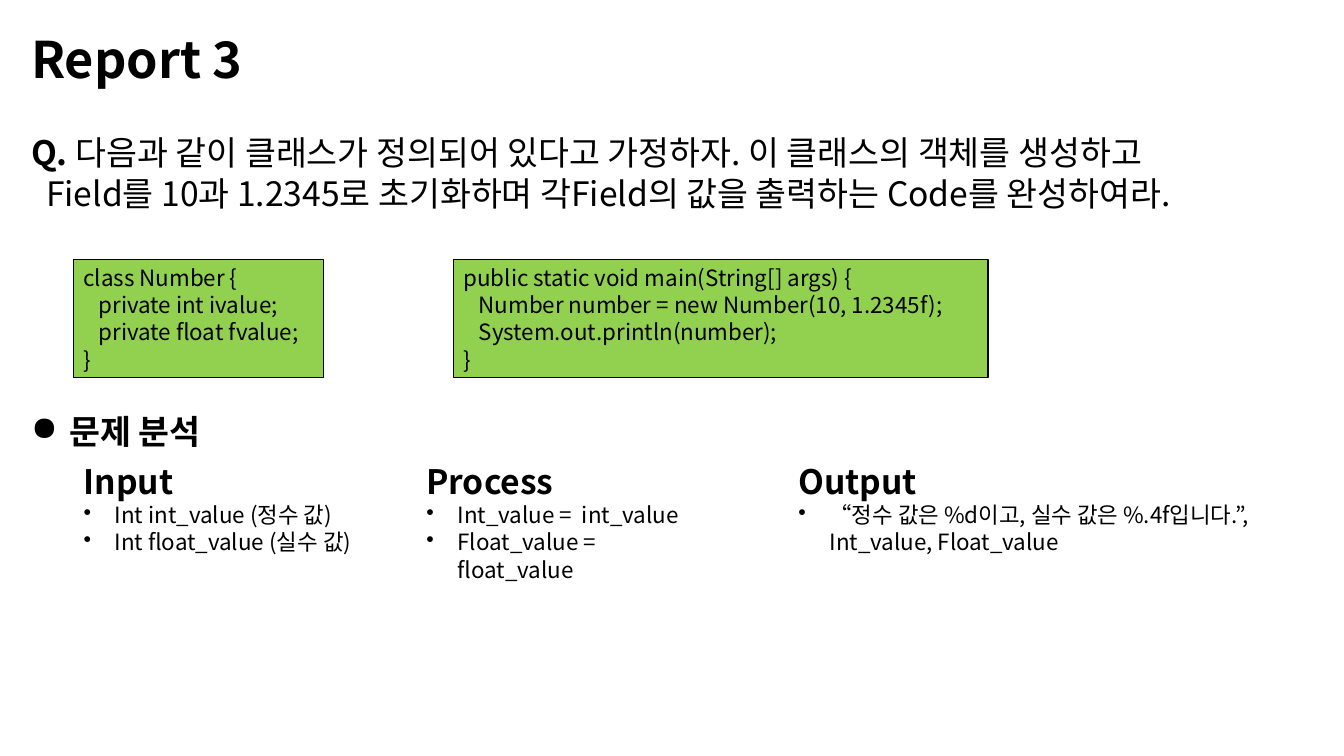
import pptx
import pptx.util
import pptx.dml.color
import pptx.enum.shapes
import pptx.enum.text
import pptx.oxml.ns
import lxml.etree

Inches = pptx.util.Inches
Pt = pptx.util.Pt
RGB = pptx.dml.color.RGBColor.from_string
FONT = "Noto Sans CJK KR"
COLORS = {"ink": "000000", "code": "92D050"}

deck = pptx.Presentation()
deck.slide_width = Inches(13.33)
deck.slide_height = Inches(7.5)
slide = deck.slides.add_slide(deck.slide_layouts[6])


def write(para, text, size, bold=False):
    run = para.add_run()
    run.text = text
    style = {"size": Pt(size), "bold": bold, "name": FONT}
    for key, value in style.items():
        setattr(run.font, key, value)
    run.font.color.rgb = RGB(COLORS["ink"])
    east = lxml.etree.SubElement(run.font._element, pptx.oxml.ns.qn("a:ea"))
    east.set("typeface", FONT)


def fill(shape, lines):
    frame = shape.text_frame
    frame.word_wrap = True
    frame.vertical_anchor = pptx.enum.text.MSO_ANCHOR.TOP
    for row, (runs, left, mark) in enumerate(lines):
        para = frame.paragraphs[0] if row == 0 else frame.add_paragraph()
        para.alignment = pptx.enum.text.PP_ALIGN.LEFT
        para.line_spacing = Pt(round(runs[0][1] * 1.21, 1))
        props = para._p.get_or_add_pPr()
        props.set("marL", str(Inches(left)))
        if mark:
            props.set("indent", str(-Inches(left)))
            bullet = lxml.etree.SubElement(props, pptx.oxml.ns.qn("a:buChar"))
            bullet.set("char", mark)
        for run in runs:
            write(para, *run)


ask = [
    ([("Q. ", 24, True), ("다음과 같이 클래스가 정의되어 있다고 가정하자. 이 클래스의 객체를 생성하고", 24)], 0, None),
    ([("Field를 10과 1.2345로 초기화하며 각Field의 값을 출력하는 Code를 완성하여라.", 24)], 0.15, None),
]
texts = [
    (0.21, 0.22, 4.28, 0.71, [([("Report 3", 36, True)], 0, None)]),
    (0.21, 1.26, 13.43, 1.31, ask),
    (0.21, 4.02, 2.15, 0.5, [([("문제 분석", 24, True)], 0.38, "●")]),
]
parts = [
    (0.73, 2.92, "Input", ["Int int_value (정수 값)", "Int float_value (실수 값)"]),
    (4.13, 3.01, "Process", ["Int_value =  int_value", "Float_value = float_value"]),
    (7.82, 5.3, "Output", ["“정수 값은 %d이고, 실수 값은 %.4f입니다.”, Int_value, Float_value"]),
]
for left, width, head, items in parts:
    lines = [([(head, 24, True)], 0, None)]
    lines += [([(item, 16)], 0.31, "•") for item in items]
    texts.append((left, 4.52, width, 1.04, lines))

for left, top, width, height, lines in texts:
    box = slide.shapes.add_textbox(Inches(left), Inches(top), Inches(width), Inches(height))
    fill(box, lines)

codes = [
    (0.73, 2.48, "class Number {", ["private int ivalue;", "private float fvalue;"]),
    (4.5, 5.3, "public static void main(String[] args) {",
     ["Number number = new Number(10, 1.2345f);", "System.out.println(number);"]),
]
for left, width, head, body in codes:
    box = slide.shapes.add_shape(
        pptx.enum.shapes.MSO_SHAPE.RECTANGLE,
        Inches(left), Inches(2.57), Inches(width), Inches(1.18))
    box.shadow.inherit = False
    box.fill.solid()
    box.fill.fore_color.rgb = RGB(COLORS["code"])
    box.line.color.rgb = RGB(COLORS["ink"])
    box.line.width = Pt(0.75)
    lines = [([(head, 16)], 0, None)]
    lines += [([(line, 16)], 0.15, None) for line in body]
    lines.append(([("}", 16)], 0, None))
    fill(box, lines)

deck.save("out.pptx")
